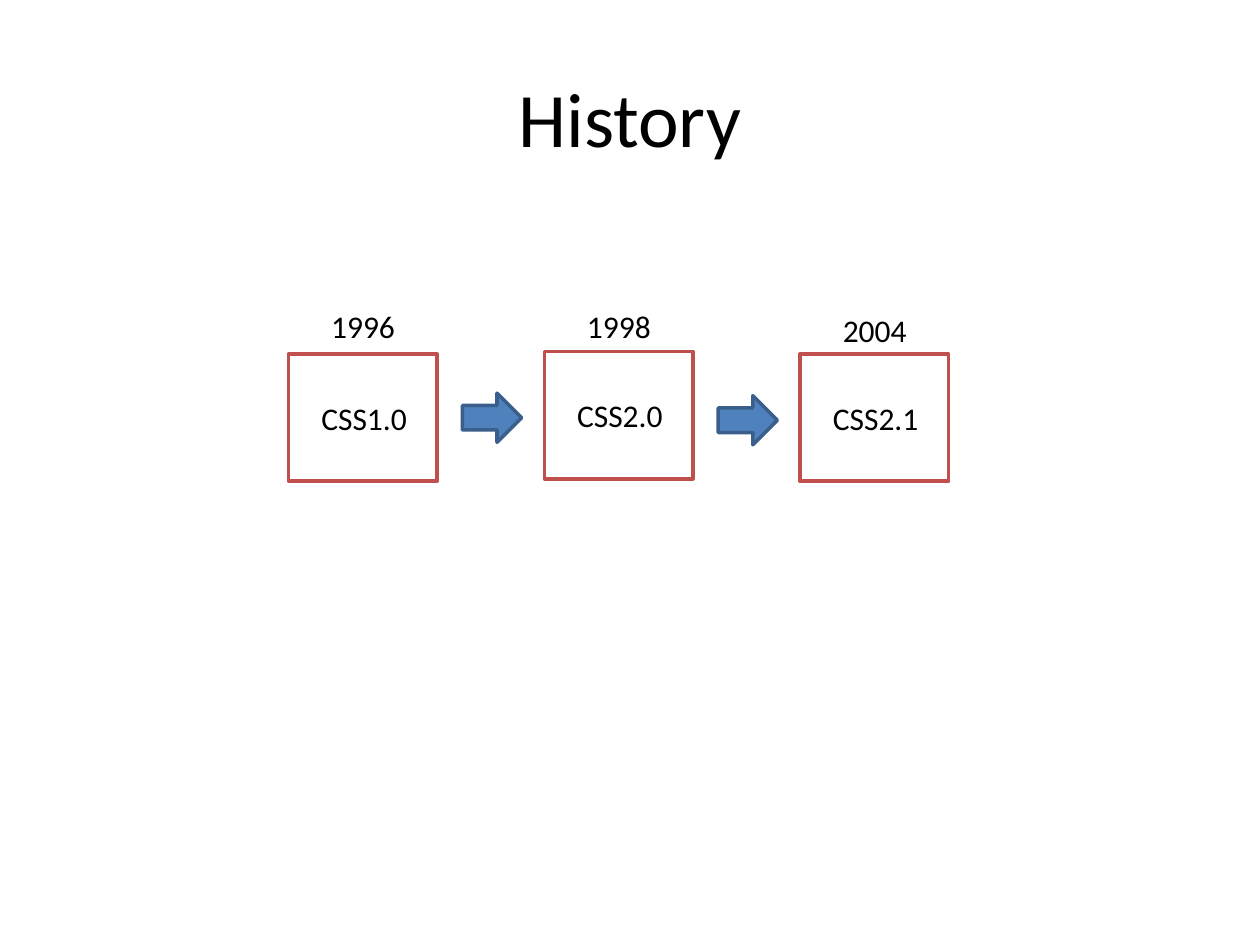
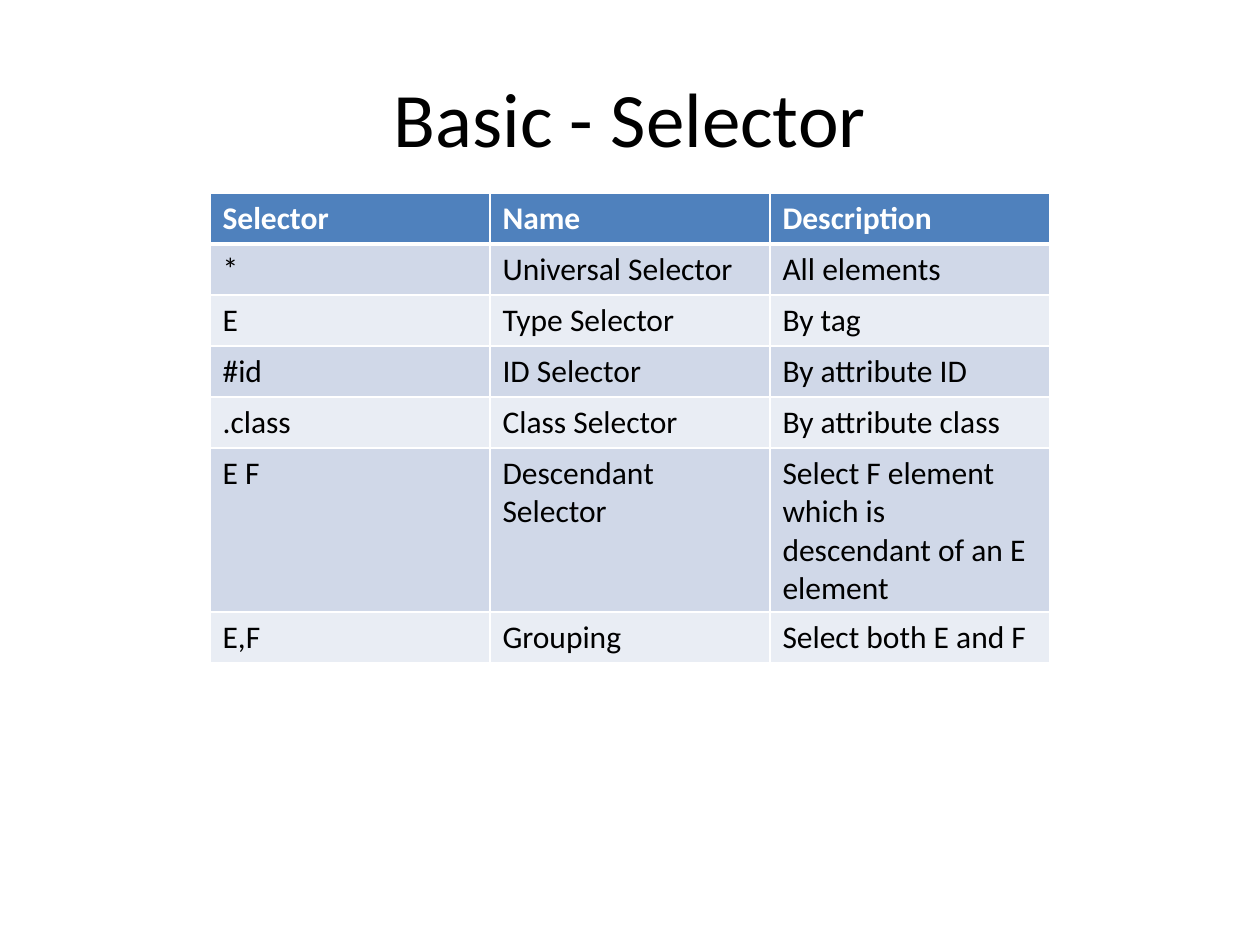
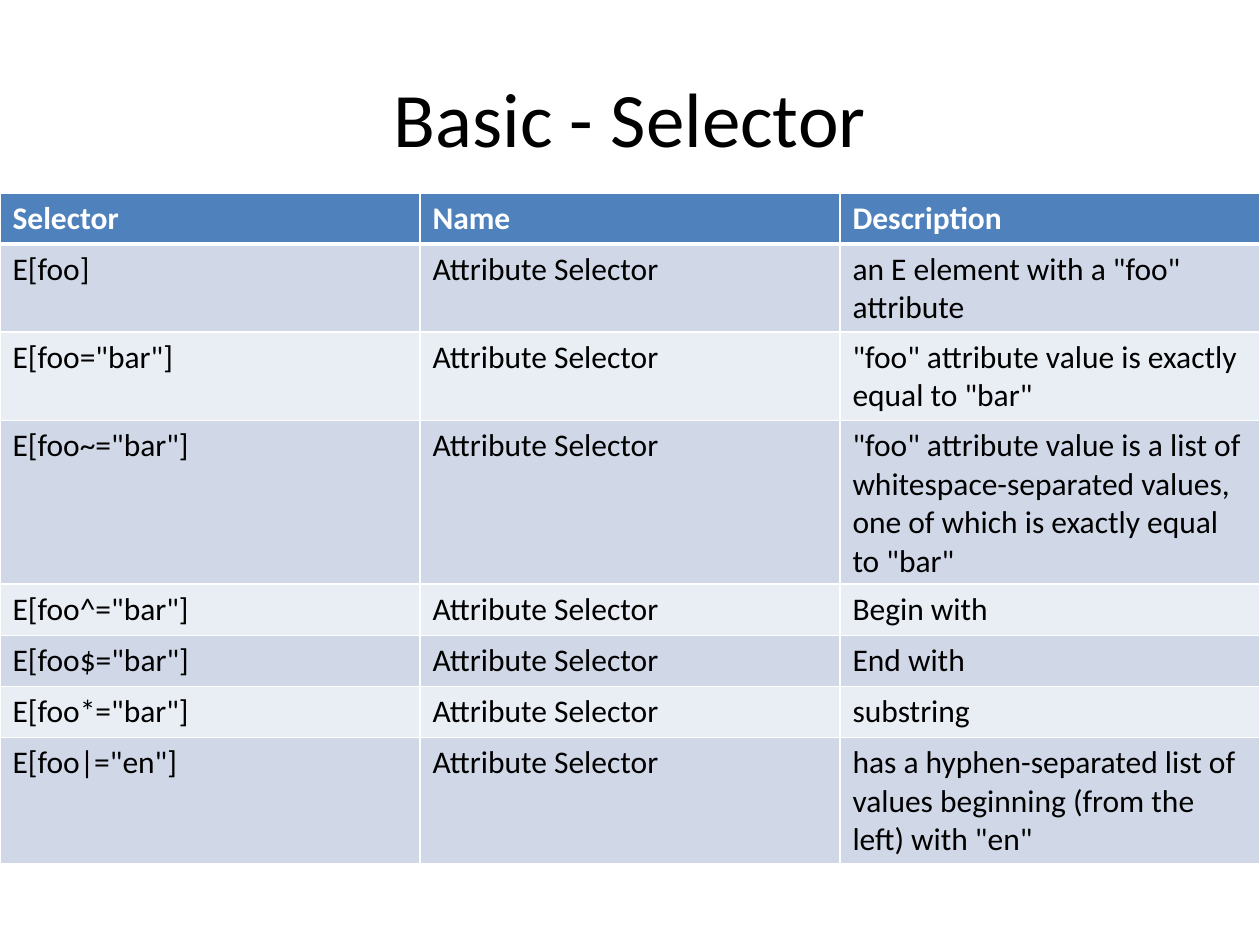
from dataclasses import dataclass
from typing import NamedTuple

import lxml.etree
import pptx
import pptx.dml.color
import pptx.enum.shapes
import pptx.enum.text
import pptx.oxml.ns
import pptx.slide
import pptx.table
import pptx.text.text
import pptx.util

WIDTH = pptx.util.Inches(10)
HEIGHT = pptx.util.Inches(7.5)
GRID_COLUMNS = 100
GRID_ROWS = 75
ANCHOR = pptx.enum.text.MSO_ANCHOR
ALIGN = pptx.enum.text.PP_ALIGN
SHAPE = pptx.enum.shapes.MSO_SHAPE


@dataclass(frozen=True)
class Theme:
    font: str = "Calibri"
    title_size: float = 44
    body_size: float = 18
    ink: str = "000000"
    paper: str = "FFFFFF"
    stage_line: str = "C0504D"
    accent: str = "4F81BD"
    accent_line: str = "3A5F8C"
    bands: tuple[str, str] = ("D0D8E8", "E9EDF4")
    outline: float = 2
    rule: float = 1
    header_rule: float = 3
    row_height: float = 29.2


class Area(NamedTuple):
    """A rectangle in grid columns and rows."""
    column: float
    row: float
    columns: float
    rows: float

    def lengths(self) -> tuple[int, int, int, int]:
        return (across(self.column), down(self.row), across(self.columns), down(self.rows))


class Stage(NamedTuple):
    year: str
    version: str
    year_row: float
    box_row: float
    arrow_row: float | None


class SelectorTable(NamedTuple):
    title: str
    column: float
    columns: float
    rows: list[tuple[str, str, str]]


THEME = Theme()
TITLE_AREA = Area(5, 3, 90, 12.5)
TABLE_ROW = 15.3

# History: equal steps from one version to the next
FIRST_STAGE = 22.9
STAGE_STEP = 20.3
STAGE_SIZE = (11.8, 10.1)
STAGE_INDENT = 2.6
YEAR_OFFSET = 2.4
YEAR_SIZE = (7.1, 4)
ARROW_OFFSET = 13.8
ARROW_SIZE = (4.7, 3.9)
STAGES = [
    Stage("1996", "CSS1.0", 23.9, 28.1, 31.2),
    Stage("1998", "CSS2.0", 23.9, 27.9, 31.4),
    Stage("2004", "CSS2.1", 24.2, 28.1, None),
]

HEADER = ("Selector", "Name", "Description")
ATTRIBUTE_RULES = [
    ('E[foo]', 'an E element with a "foo" attribute'),
    ('E[foo="bar"]', '"foo" attribute value is exactly equal to "bar"'),
    ('E[foo~="bar"]', '"foo" attribute value is a list of whitespace-separated values, '
                      'one of which is exactly equal to "bar"'),
    ('E[foo^="bar"]', 'Begin with'),
    ('E[foo$="bar"]', 'End with'),
    ('E[foo*="bar"]', 'substring'),
    ('E[foo|="en"]', 'has a hyphen-separated list of values beginning (from the left) with "en"'),
]
SELECTOR_TABLES = [
    SelectorTable("Basic - Selector", GRID_COLUMNS / 6, GRID_COLUMNS * 2 / 3, [
        ("*", "Universal Selector", "All elements"),
        ("E", "Type Selector", "By tag"),
        ("#id", "ID Selector", "By attribute ID"),
        (".class", "Class Selector", "By attribute class"),
        ("E F", "Descendant Selector", "Select F element which is descendant of an E element"),
        ("E,F", "Grouping", "Select both E and F"),
    ]),
    SelectorTable("Basic - Selector", 0, GRID_COLUMNS, [
        (selector, "Attribute Selector", meaning) for selector, meaning in ATTRIBUTE_RULES
    ]),
]


def across(columns: float) -> int:
    return round(WIDTH * columns / GRID_COLUMNS)


def down(rows: float) -> int:
    return round(HEIGHT * rows / GRID_ROWS)


def color(code: str) -> pptx.dml.color.RGBColor:
    return pptx.dml.color.RGBColor.from_string(code)


def add_span(para: pptx.text.text._Paragraph, text: str, size: float = THEME.body_size,
             ink: str = THEME.ink, bold: bool = False) -> None:
    span = para.add_run()
    span.text = text
    span.font.name = THEME.font
    span.font.size = pptx.util.Pt(size)
    span.font.bold = bold
    span.font.color.rgb = color(ink)


# Parts shared by the slides
def add_page(deck, title: str) -> pptx.slide.Slide:
    page = deck.slides.add_slide(deck.slide_layouts[6])
    frame = page.shapes.add_textbox(*TITLE_AREA.lengths()).text_frame
    frame.word_wrap = True
    frame.vertical_anchor = ANCHOR.MIDDLE
    para = frame.paragraphs[0]
    para.alignment = ALIGN.CENTER
    add_span(para, title, THEME.title_size)
    return page


def add_outlined(page: pptx.slide.Slide, kind, area: Area, fill: str, line: str):
    shape = page.shapes.add_shape(kind, *area.lengths())
    shape.shadow.inherit = False
    shape.fill.solid()
    shape.fill.fore_color.rgb = color(fill)
    shape.line.color.rgb = color(line)
    shape.line.width = pptx.util.Pt(THEME.outline)
    return shape


# Timeline parts
def add_stage(page: pptx.slide.Slide, stage: Stage, column: float) -> None:
    box = add_outlined(page, SHAPE.RECTANGLE, Area(column, stage.box_row, *STAGE_SIZE),
                       THEME.paper, THEME.stage_line)
    frame = box.text_frame
    frame.margin_left = across(STAGE_INDENT)
    frame.vertical_anchor = ANCHOR.MIDDLE
    frame.paragraphs[0].alignment = ALIGN.LEFT
    add_span(frame.paragraphs[0], stage.version)

    year_area = Area(column + YEAR_OFFSET, stage.year_row, *YEAR_SIZE)
    label = page.shapes.add_textbox(*year_area.lengths()).text_frame
    label.word_wrap = False
    label.auto_size = pptx.enum.text.MSO_AUTO_SIZE.SHAPE_TO_FIT_TEXT
    add_span(label.paragraphs[0], stage.year)

    if stage.arrow_row is not None:
        arrow_area = Area(column + ARROW_OFFSET, stage.arrow_row, *ARROW_SIZE)
        add_outlined(page, SHAPE.RIGHT_ARROW, arrow_area, THEME.accent, THEME.accent_line)


# Table parts
def add_borders(cell: pptx.table._Cell, top: float, bottom: float) -> None:
    qn = pptx.oxml.ns.qn
    properties = cell._tc.get_or_add_tcPr()
    widths = {"a:lnL": THEME.rule, "a:lnR": THEME.rule, "a:lnT": top, "a:lnB": bottom}
    for side, width in widths.items():
        line = lxml.etree.SubElement(properties, qn(side), w=str(pptx.util.Pt(width)))
        fill = lxml.etree.SubElement(line, qn("a:solidFill"))
        lxml.etree.SubElement(fill, qn("a:srgbClr"), val=THEME.paper)


def fill_cell(cell: pptx.table._Cell, text: str, row: int) -> None:
    is_header = row == 0
    add_borders(cell,
                top=THEME.header_rule if row == 1 else THEME.rule,
                bottom=THEME.header_rule if is_header else THEME.rule)
    cell.fill.solid()
    cell.fill.fore_color.rgb = color(THEME.accent if is_header else THEME.bands[(row - 1) % 2])
    add_span(cell.text_frame.paragraphs[0], text,
             ink=THEME.paper if is_header else THEME.ink, bold=is_header)


def add_selector_table(page: pptx.slide.Slide, content: SelectorTable) -> None:
    rows = [HEADER, *content.rows]
    height = pptx.util.Pt(THEME.row_height * len(rows))
    table = page.shapes.add_table(len(rows), len(HEADER), across(content.column),
                                  down(TABLE_ROW), across(content.columns), height).table
    for row, texts in enumerate(rows):
        for column, text in enumerate(texts):
            fill_cell(table.cell(row, column), text, row)


def main() -> None:
    deck = pptx.Presentation()
    deck.slide_width, deck.slide_height = WIDTH, HEIGHT

    history = add_page(deck, "History")
    for index, stage in enumerate(STAGES):
        add_stage(history, stage, FIRST_STAGE + index * STAGE_STEP)

    for content in SELECTOR_TABLES:
        add_selector_table(add_page(deck, content.title), content)

    deck.save("out.pptx")


if __name__ == "__main__":
    main()
